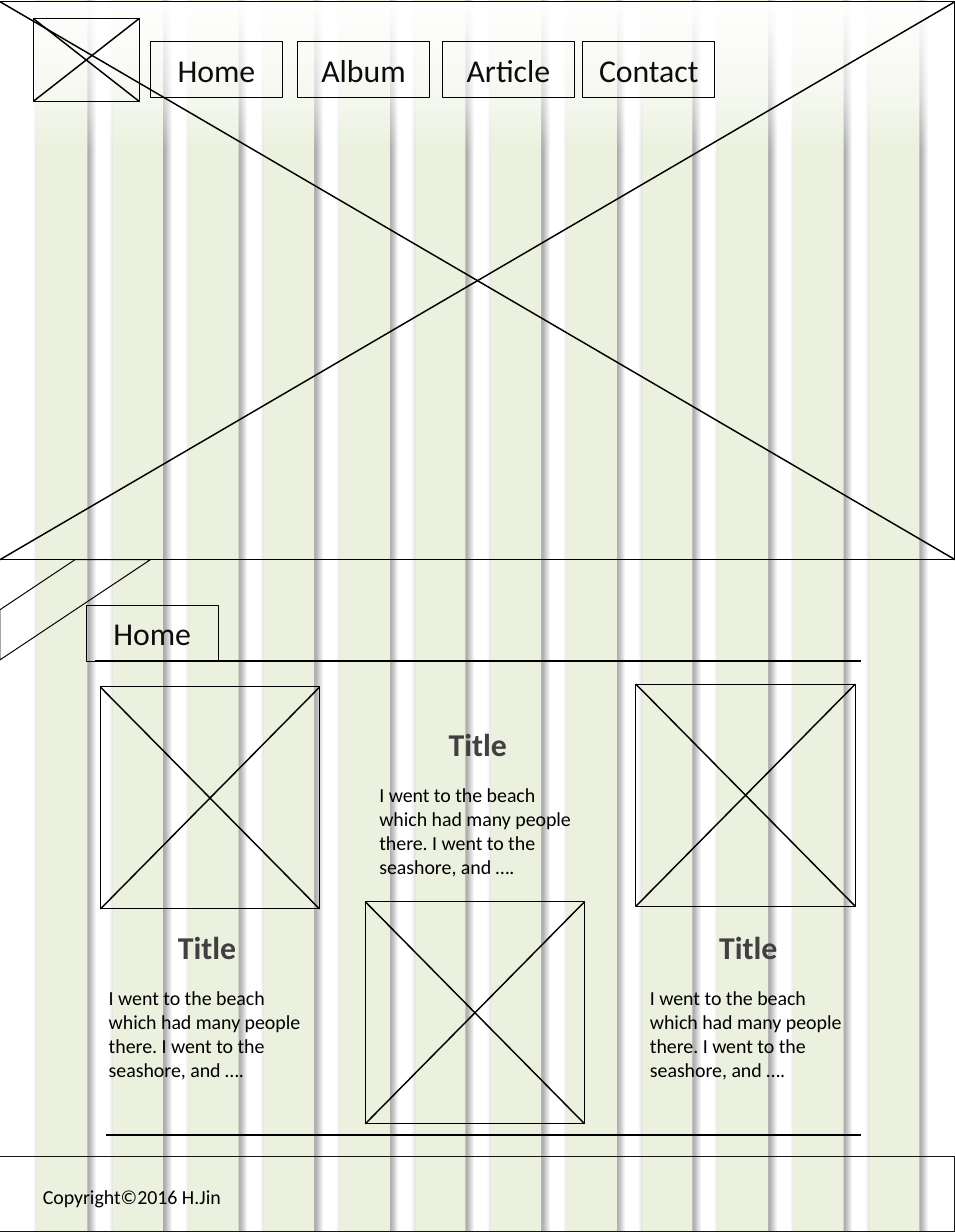
import pptx
import pptx.dml.color
import pptx.enum.shapes
import pptx.enum.text
import pptx.oxml
import pptx.oxml.ns
import pptx.util

Cm = pptx.util.Cm
Pt = pptx.util.Pt
SHAPE = pptx.enum.shapes.MSO_SHAPE
ALIGN = pptx.enum.text.PP_ALIGN
ANCHOR = pptx.enum.text.MSO_ANCHOR
AUTO_SIZE = pptx.enum.text.MSO_AUTO_SIZE
FONT = "Calibri"
COLOURS = {
    "stripe": "EBF1DE",
    "shadow": "000000",
    "outline": "000000",
    "footer": "151515",
    "text": "000000",
    "label": "0D0D0D",
    "story_title": "404040",
    "veil": "FFFFFF",
}
PAGE = (16.94, 21.86)
STORY_TEXT = "I went to the beach which had many people there. I went to the seashore, and …."
VEIL_STOPS = [(0, 100), (64, 54), (100, 0)]


def rgb(name):
    """Return the named palette colour."""
    return pptx.dml.color.RGBColor.from_string(COLOURS[name])


def cm_box(box):
    """Convert a box of centimetres to lengths."""
    return [Cm(value) for value in box]


def parse_drawing(xml):
    """Parse a drawing element written with the a: prefix."""
    return pptx.oxml.parse_xml(xml.replace(">", " " + pptx.oxml.ns.nsdecls("a") + ">", 1))


def outline(shape, colour="outline", width=0.5):
    """Give a shape or connector a thin line."""
    shape.line.color.rgb = rgb(colour)
    shape.line.width = Pt(width)


def add_frame(shapes, box, colour="outline", preset=SHAPE.RECTANGLE):
    """Add an unfilled outlined shape."""
    frame = shapes.add_shape(preset, *cm_box(box))
    frame.shadow.inherit = False
    frame.fill.background()
    outline(frame, colour)
    return frame


def add_rule(shapes, start, end):
    """Add a straight line between two points."""
    rule = shapes.add_connector(
        pptx.enum.shapes.MSO_CONNECTOR.STRAIGHT, *cm_box(start), *cm_box(end)
    )
    outline(rule, width=0.75)
    rule.element.spPr.append(parse_drawing("<a:effectLst></a:effectLst>"))


def write(shape, text, size, colour, align=ALIGN.LEFT, bold=False):
    """Set and format the single paragraph of a shape."""
    frame = shape.text_frame
    frame.text = text
    frame.word_wrap = True
    paragraph = frame.paragraphs[0]
    paragraph.alignment = align
    paragraph.font.name = FONT
    paragraph.font.size = Pt(size)
    paragraph.font.bold = bold
    paragraph.font.color.rgb = rgb(colour)


def add_text(shapes, box, text, size, colour, align=ALIGN.LEFT, bold=False):
    """Add a text box that grows with its text."""
    caption = shapes.add_textbox(*cm_box(box))
    write(caption, text, size, colour, align, bold)
    caption.text_frame.auto_size = AUTO_SIZE.SHAPE_TO_FIT_TEXT


def add_label(shape, text):
    """Write a centred label in a tab."""
    write(shape, text, 16, "label", ALIGN.CENTER)
    shape.text_frame.vertical_anchor = ANCHOR.MIDDLE


def add_image_slot(slide, box):
    """Add a frame crossed by its two diagonals."""
    left, top, width, height = box
    right, bottom = left + width, top + height
    slot = slide.shapes.add_group_shape().shapes
    add_frame(slot, box)
    add_rule(slot, (left, bottom), (right, top))
    add_rule(slot, (left, top), (right, bottom))


def add_stripes(slide, box, count=12, stripe_width=0.89):
    """Fill the box with evenly spaced shadowed stripes."""
    left, top, width, height = box
    pitch = (width - stripe_width) / (count - 1)
    stripes = slide.shapes.add_group_shape().shapes
    for index in range(count):
        stripe = stripes.add_shape(
            SHAPE.RECTANGLE, *cm_box((left + index * pitch, top, stripe_width, height))
        )
        stripe.fill.solid()
        stripe.fill.fore_color.rgb = rgb("stripe")
        stripe.line.fill.background()
        stripe.shadow.inherit = False
        effects = stripe.element.spPr.find(pptx.oxml.ns.qn("a:effectLst"))
        effects.append(parse_drawing(
            '<a:outerShdw blurRad="40000" dist="12000" dir="0" rotWithShape="0">'
            f'<a:srgbClr val="{COLOURS["shadow"]}"><a:alpha val="35000"/></a:srgbClr>'
            '</a:outerShdw>'
        ))


def add_veil(slide, box):
    """Add a white band that fades out downwards."""
    veil = slide.shapes.add_shape(SHAPE.RECTANGLE, *cm_box(box))
    veil.shadow.inherit = False
    veil.line.fill.background()
    veil.fill.background()
    stops = "".join(
        f'<a:gs pos="{position * 1000}"><a:srgbClr val="{COLOURS["veil"]}">'
        f'<a:alpha val="{alpha * 1000}"/></a:srgbClr></a:gs>'
        for position, alpha in VEIL_STOPS
    )
    fade = parse_drawing(
        f'<a:gradFill><a:gsLst>{stops}</a:gsLst><a:lin ang="5400000" scaled="0"/></a:gradFill>'
    )
    properties = veil.element.spPr
    properties.replace(properties.find(pptx.oxml.ns.qn("a:noFill")), fade)


def add_header(slide, box):
    """Add the hero image slot, the logo slot and the navigation tabs."""
    left, top, width, height = box
    add_veil(slide, (left, top, width, 2.62))
    tabs = {"Home": 2.67, "Album": 5.28, "Article": 7.85, "Contact": 10.34}
    for name, offset in tabs.items():
        tab = add_frame(slide.shapes, (left + offset, top + 0.71, 2.34, 0.99))
        add_label(tab, name)
    add_image_slot(slide, box)
    add_image_slot(slide, (left + 0.59, top + 0.3, 1.88, 1.47))


def add_heading(slide, box):
    """Place the page title as a tab standing on a rule."""
    left, top, width, height = box
    heading = slide.shapes.title
    heading.left, heading.top, heading.width, heading.height = cm_box((left, top, 2.34, height))
    add_label(heading, "Home")
    heading.text_frame.auto_size = AUTO_SIZE.NONE
    outline(heading)
    slide.shapes.element.append(heading.element)
    add_rule(slide.shapes, (left + 0.15, top + height), (left + width, top + height))


def add_story(slide, box):
    """Add a story title over its opening text."""
    left, top, width, height = box
    story = slide.shapes.add_group_shape().shapes
    add_text(story, (left + 0.2, top, width - 0.4, 0.94), "Title", 16,
             "story_title", ALIGN.CENTER, True)
    add_text(story, (left, top + 1.04, width, height - 1.04), STORY_TEXT, 10, "text")


def add_stories(slide, box):
    """Add three columns of story and image slot with a closing rule."""
    left, top, width, height = box
    columns = [(0, 0.1, 4.19, 0.05), (4.8, 4.8, 0.59, 3.86), (9.6, 9.6, 4.19, 0)]
    for story_left, slot_left, story_top, slot_top in columns:
        add_story(slide, (left + story_left, top + story_top, 3.99, 3))
        add_image_slot(slide, (left + slot_left, top + slot_top, 3.89, 3.94))
    add_rule(slide.shapes, (left + 0.2, top + height), (left + width, top + height))


def add_footer(slide, box):
    """Add the framed copyright line."""
    left, top, width, height = box
    add_frame(slide.shapes, box, "footer")
    add_text(slide.shapes, (left + 0.51, top + 0.36, 3.81, 0.69),
             "Copyright©2016 H.Jin", 10, "text")


def build():
    """Build and save the page."""
    deck = pptx.Presentation()
    deck.slide_width, deck.slide_height = cm_box(PAGE)
    deck.element.sldSz.attrib.pop("type", None)
    slide = deck.slides.add_slide(deck.slide_layouts.get_by_name("Title Only"))
    add_stripes(slide, (0.66, 0, 15.65, PAGE[1]))
    add_frame(slide.shapes, (0, 9.93, 2.67, 1.78), preset=SHAPE.DIAGONAL_STRIPE)
    add_footer(slide, (0, 20.53, PAGE[0], 1.32))
    add_header(slide, (0, 0.03, PAGE[0], 9.9))
    add_heading(slide, (1.53, 10.74, 13.74, 0.99))
    add_stories(slide, (1.68, 12.14, 13.59, 8))
    deck.save("out.pptx")


build()
